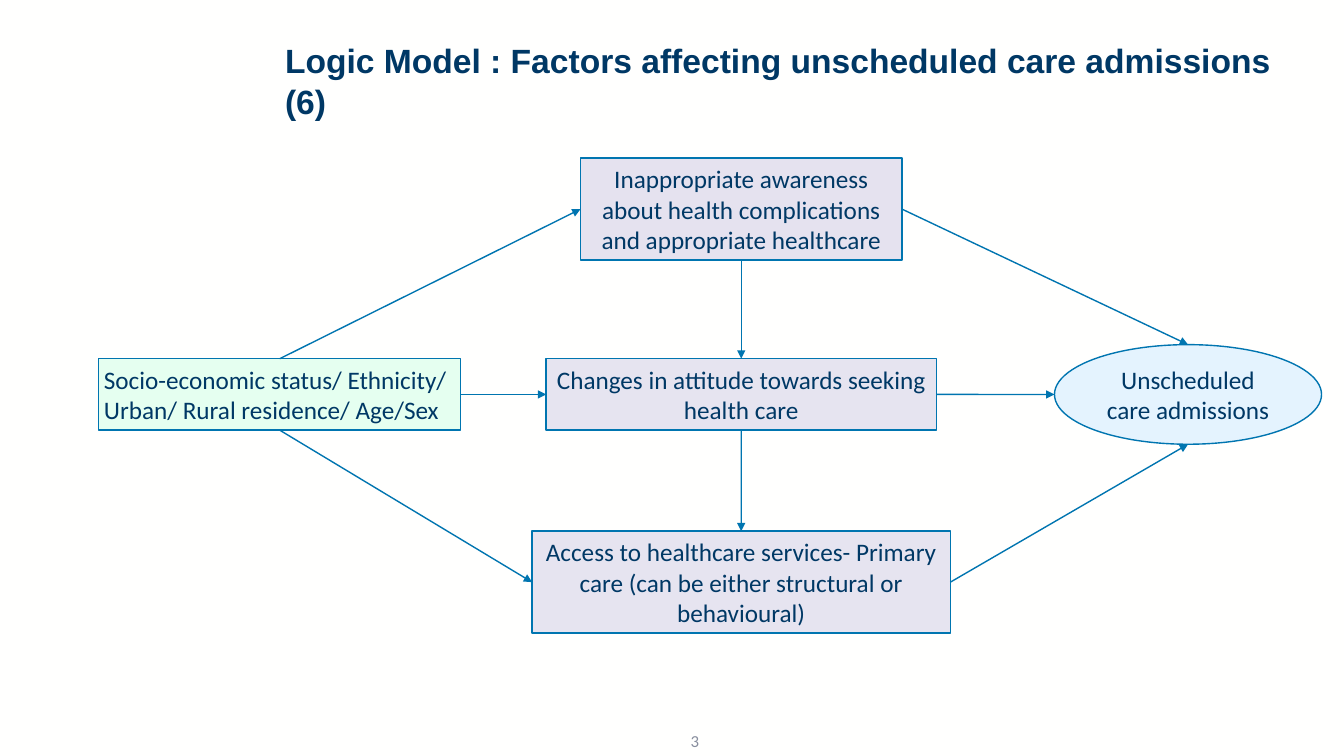
from dataclasses import dataclass
from typing import Any

from lxml.etree import SubElement
from pptx import Presentation
from pptx.dml.color import RGBColor
from pptx.enum.shapes import MSO_CONNECTOR as Connector, MSO_SHAPE as Shape
from pptx.enum.text import MSO_ANCHOR as Anchor, MSO_AUTO_SIZE as AutoSize, PP_ALIGN as Align
from pptx.oxml.ns import qn
from pptx.util import Cm, Pt

COLORS = {
    "background": "FFFFFE",
    "ink": "003865",
    "line": "0075B0",
    "number": "888E9E",
    "mint": "B3FFD6",
    "lilac": "DDD9EB",
    "sky": "D6EDFF",
}
BOX_FONT = {"name": "Calibri", "size": Pt(18)}
TITLE_FONT = {"name": "Arial", "size": Pt(24), "bold": True}
NUMBER_FONT = {"name": "Calibri", "size": Pt(12)}
BOX_FRAME = {
    "word_wrap": True,
    "vertical_anchor": Anchor.MIDDLE,
    "margin_left": Cm(0.13),
    "margin_right": Cm(0.13),
    "margin_top": Cm(0.13),
    "margin_bottom": Cm(0.13),
}
TITLE_FRAME = {
    "word_wrap": True,
    "vertical_anchor": Anchor.TOP,
    "auto_size": AutoSize.NONE,
}
SITES = {"top": 0, "left": 1, "bottom": 2, "right": 3}
MIDDLE_X, MIDDLE_Y = 18.68, 9.94


@dataclass
class Node:
    text: str
    cx: float
    cy: float
    w: float
    h: float
    fill: str
    opacity: int
    align: Any = Align.CENTER
    kind: Any = Shape.RECTANGLE

    def side(self, name: str) -> tuple:
        dx, dy = {"top": (0, -1), "left": (-1, 0), "bottom": (0, 1), "right": (1, 0)}[name]
        return Cm(self.cx + dx * self.w / 2), Cm(self.cy + dy * self.h / 2)


@dataclass
class Arrow:
    start: str
    start_side: str
    end: str
    end_side: str


NODES = {
    "background": Node("Socio-economic status/ Ethnicity/ Urban/ Rural residence/ Age/Sex",
                       7.05, MIDDLE_Y, 9.12, 1.8, "mint", 34, Align.LEFT),
    "attitude": Node("Changes in attitude towards seeking health care",
                     MIDDLE_X, MIDDLE_Y, 9.83, 1.8, "lilac", 71),
    "awareness": Node("Inappropriate awareness about health complications and appropriate healthcare",
                      MIDDLE_X, 5.27, 8.1, 2.57, "lilac", 74),
    "access": Node("Access to healthcare services- Primary care (can be either structural or behavioural)",
                   MIDDLE_X, 14.67, 10.54, 2.57, "lilac", 71),
    "admissions": Node("Unscheduled care admissions",
                       29.94, MIDDLE_Y, 6.73, 2.51, "sky", 64, kind=Shape.OVAL),
}
ARROWS = [
    Arrow("background", "right", "attitude", "left"),
    Arrow("background", "bottom", "access", "left"),
    Arrow("background", "top", "awareness", "left"),
    Arrow("attitude", "right", "admissions", "left"),
    Arrow("access", "right", "admissions", "bottom"),
    Arrow("awareness", "right", "admissions", "top"),
    Arrow("awareness", "bottom", "attitude", "top"),
    Arrow("attitude", "bottom", "access", "top"),
]


def rgb(name: str) -> RGBColor:
    return RGBColor.from_string(COLORS[name])


def apply(target: Any, values: dict) -> None:
    for name, value in values.items():
        setattr(target, name, value)


def write(sp: Any, text: str, font: dict, color: str, frame: dict, align: Any) -> None:
    tf = sp.text_frame
    apply(tf, frame)
    p = tf.paragraphs[0]
    p.alignment = align
    r = p.add_run()
    r.text = text
    apply(r.font, font)
    r.font.color.rgb = rgb(color)


def draw_line(line: Any) -> None:
    line.color.rgb = rgb("line")
    line.width = Pt(1)


def add_node(s: Any, node: Node) -> Any:
    sp = s.shapes.add_shape(node.kind, Cm(node.cx - node.w / 2), Cm(node.cy - node.h / 2),
                            Cm(node.w), Cm(node.h))
    sp.shadow.inherit = False
    sp.fill.solid()
    sp.fill.fore_color.rgb = rgb(node.fill)
    color = sp.fill._xPr.find(qn("a:solidFill"))[0]
    SubElement(color, qn("a:alpha"), val=str(node.opacity * 1000))
    draw_line(sp.line)
    write(sp, node.text, BOX_FONT, "ink", BOX_FRAME, node.align)
    return sp


def add_arrow(s: Any, arrow: Arrow, shapes: dict) -> None:
    target = NODES[arrow.end]
    cxn = s.shapes.add_connector(Connector.STRAIGHT, *NODES[arrow.start].side(arrow.start_side),
                                 *target.side(arrow.end_side))
    cxn.begin_connect(shapes[arrow.start], SITES[arrow.start_side])
    if target.kind == Shape.RECTANGLE:
        cxn.end_connect(shapes[arrow.end], SITES[arrow.end_side])
    draw_line(cxn.line)
    SubElement(cxn.line._get_or_add_ln(), qn("a:tailEnd"), type="triangle")
    SubElement(cxn._element.spPr, qn("a:effectLst"))


def main() -> None:
    prs = Presentation()
    prs.slide_width, prs.slide_height = Cm(33.87), Cm(19.05)
    s = prs.slides.add_slide(prs.slide_layouts[5])
    s.background.fill.solid()
    s.background.fill.fore_color.rgb = rgb("background")

    title = s.shapes.title
    apply(title, {"left": Cm(6.93), "top": Cm(0.89), "width": Cm(25.96), "height": Cm(2.31)})
    write(title, "Logic Model : Factors affecting unscheduled care admissions (6)",
          TITLE_FONT, "ink", TITLE_FRAME, Align.LEFT)

    shapes = {name: add_node(s, node) for name, node in NODES.items()}
    for arrow in ARROWS:
        add_arrow(s, arrow, shapes)

    number = s.shapes.add_textbox(Cm(17.25), Cm(18.3), Cm(0.5), Cm(0.75))
    write(number, "3", NUMBER_FONT, "number", {**BOX_FRAME, "word_wrap": False}, Align.RIGHT)
    prs.save("out.pptx")


if __name__ == "__main__":
    main()
